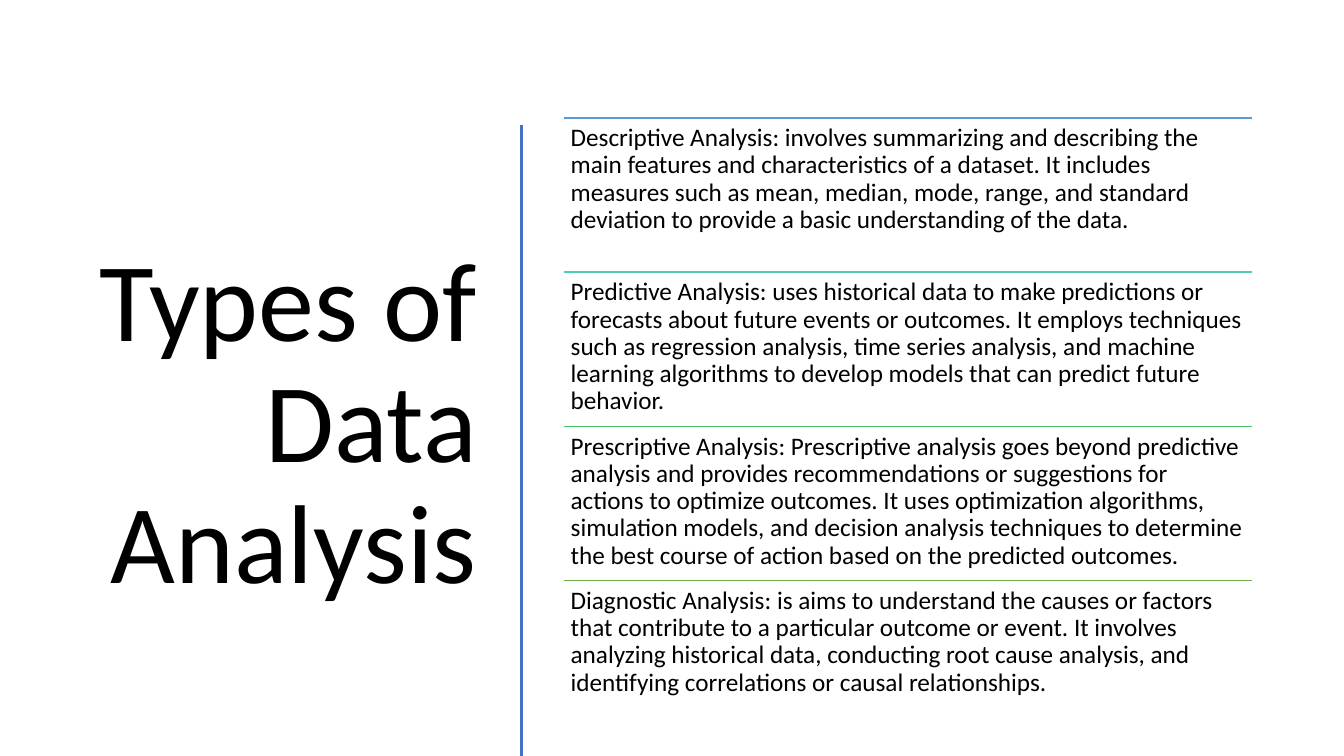
from dataclasses import dataclass

from lxml import etree
from pptx import Presentation
from pptx.dml.color import RGBColor
from pptx.enum.shapes import MSO_CONNECTOR
from pptx.enum.text import MSO_ANCHOR, MSO_AUTO_SIZE, PP_ALIGN
from pptx.oxml.ns import qn
from pptx.util import Inches, Pt

STRAIGHT = MSO_CONNECTOR.STRAIGHT
TOP, MIDDLE = MSO_ANCHOR.TOP, MSO_ANCHOR.MIDDLE
LEFT, RIGHT = PP_ALIGN.LEFT, PP_ALIGN.RIGHT
NO_FIT = MSO_AUTO_SIZE.NONE
TITLE_ONLY = 5


@dataclass(frozen=True)
class Theme:
    font: str = "Calibri"
    text: str = "000000"
    divider: str = "4472C4"
    title_size: int = 80
    body_size: int = 18
    line_spacing: float = 0.9


THEME = Theme()

# Grid in inches: title column, divider, list column with equal rows
PAGE_WIDTH, PAGE_HEIGHT = 13.33, 7.5
TITLE_LEFT, TITLE_WIDTH = 0.52, 4.31
DIVIDER_LEFT, DIVIDER_TOP = 5.17, 1.24
LIST_LEFT, LIST_WIDTH = 5.59, 6.83
GRID_TOP, ROW_HEIGHT = 1.17, 1.53
BOX_INSET = 0.07

TITLE = "Types of Data Analysis"
ANALYSES = [
    ("5B9BD5", "Descriptive Analysis: involves summarizing and describing the main "
     "features and characteristics of a dataset. It includes measures such as mean, "
     "median, mode, range, and standard deviation to provide a basic understanding "
     "of the data."),
    ("52CAB8", "Predictive Analysis: uses historical data to make predictions or "
     "forecasts about future events or outcomes. It employs techniques such as "
     "regression analysis, time series analysis, and machine learning algorithms to "
     "develop models that can predict future behavior."),
    ("49BF64", "Prescriptive Analysis: Prescriptive analysis goes beyond predictive "
     "analysis and provides recommendations or suggestions for actions to optimize "
     "outcomes. It uses optimization algorithms, simulation models, and decision "
     "analysis techniques to determine the best course of action based on the "
     "predicted outcomes."),
    ("70AD47", "Diagnostic Analysis: is aims to understand the causes or factors that "
     "contribute to a particular outcome or event. It involves analyzing historical "
     "data, conducting root cause analysis, and identifying correlations or causal "
     "relationships."),
]


def write_text(frame, text, size, align, anchor):
    frame.word_wrap = True
    frame.auto_size = NO_FIT
    frame.vertical_anchor = anchor
    frame.text = text
    para = frame.paragraphs[0]
    para.alignment = align
    para.line_spacing = THEME.line_spacing
    para.font.name = THEME.font
    para.font.size = Pt(size)
    para.font.color.rgb = RGBColor.from_string(THEME.text)


def add_line(page, start, end, color, width):
    line = page.shapes.add_connector(STRAIGHT, *map(Inches, start + end))
    line.line.color.rgb = RGBColor.from_string(color)
    line.line.width = Pt(width)
    etree.SubElement(line._element.spPr, qn("a:effectLst"))


def add_title(page):
    title = page.shapes.title
    title.left, title.top = Inches(TITLE_LEFT), Inches(GRID_TOP)
    title.width, title.height = Inches(TITLE_WIDTH), Inches(ROW_HEIGHT * len(ANALYSES))
    write_text(title.text_frame, TITLE, THEME.title_size, RIGHT, MIDDLE)


def add_analysis(page, row, color, text):
    top = GRID_TOP + row * ROW_HEIGHT
    add_line(page, (LIST_LEFT, top), (LIST_LEFT + LIST_WIDTH, top), color, 1)
    box = page.shapes.add_textbox(
        *map(Inches, (LIST_LEFT, top, LIST_WIDTH, ROW_HEIGHT)))
    frame = box.text_frame
    frame.margin_left = frame.margin_right = Inches(BOX_INSET)
    frame.margin_top = frame.margin_bottom = Inches(BOX_INSET)
    write_text(frame, text, THEME.body_size, LEFT, TOP)


def main():
    deck = Presentation()
    deck.slide_width, deck.slide_height = Inches(PAGE_WIDTH), Inches(PAGE_HEIGHT)
    page = deck.slides.add_slide(deck.slide_layouts[TITLE_ONLY])

    # Title column and divider
    add_title(page)
    add_line(page, (DIVIDER_LEFT, DIVIDER_TOP), (DIVIDER_LEFT, PAGE_HEIGHT),
             THEME.divider, 2)

    # One ruled row per type of analysis
    for row, (color, text) in enumerate(ANALYSES):
        add_analysis(page, row, color, text)

    deck.save("out.pptx")


if __name__ == "__main__":
    main()
